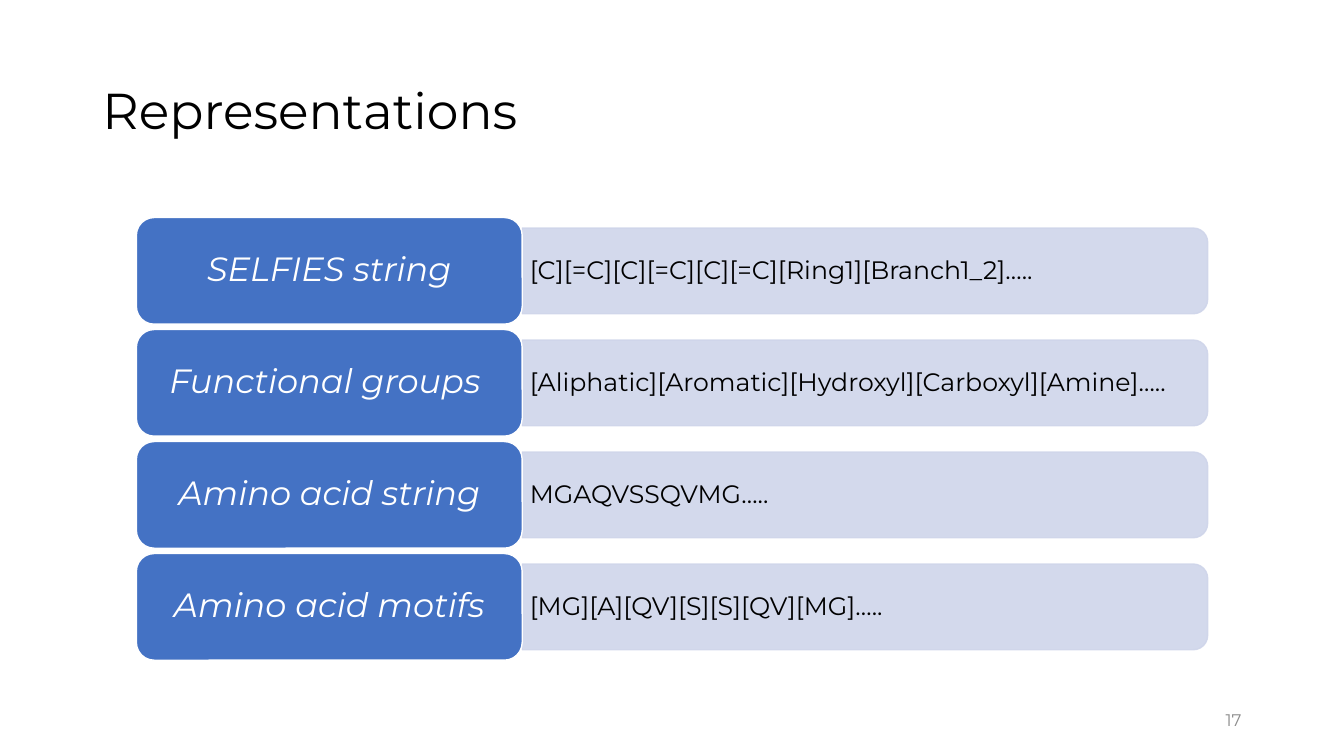
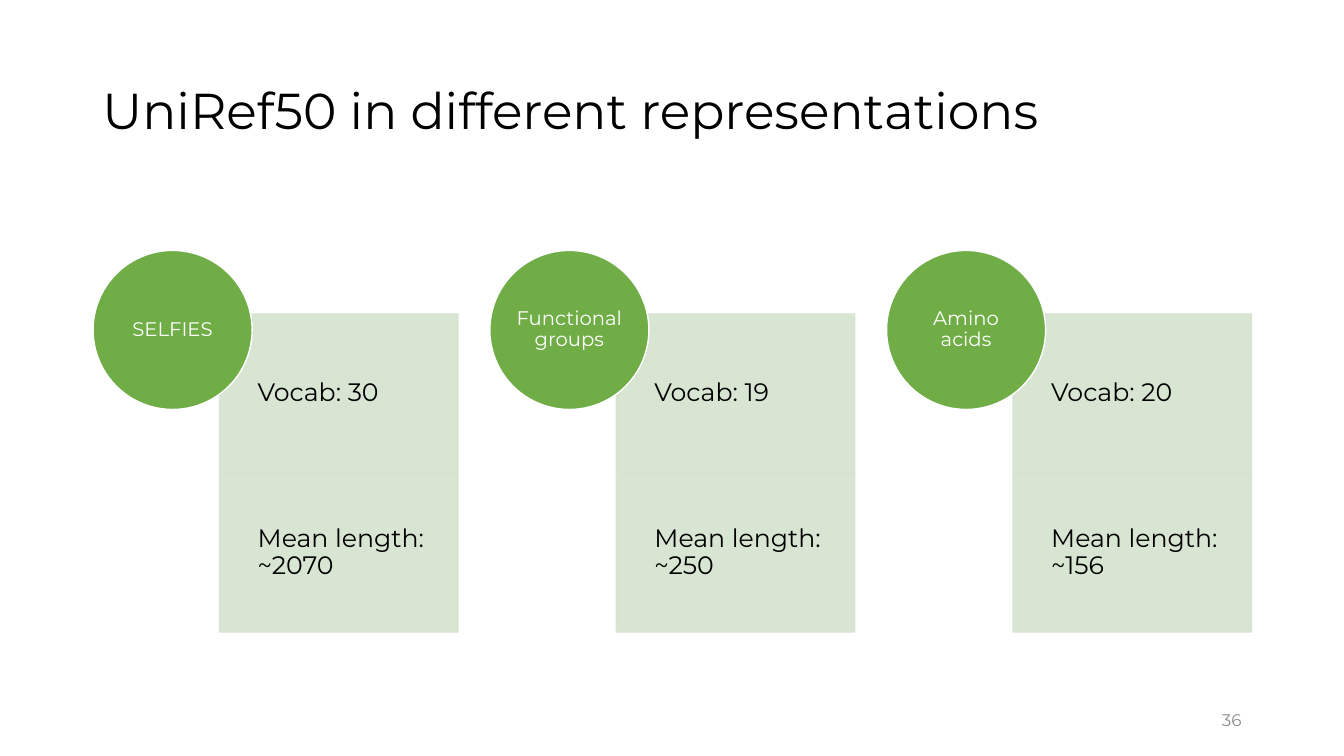
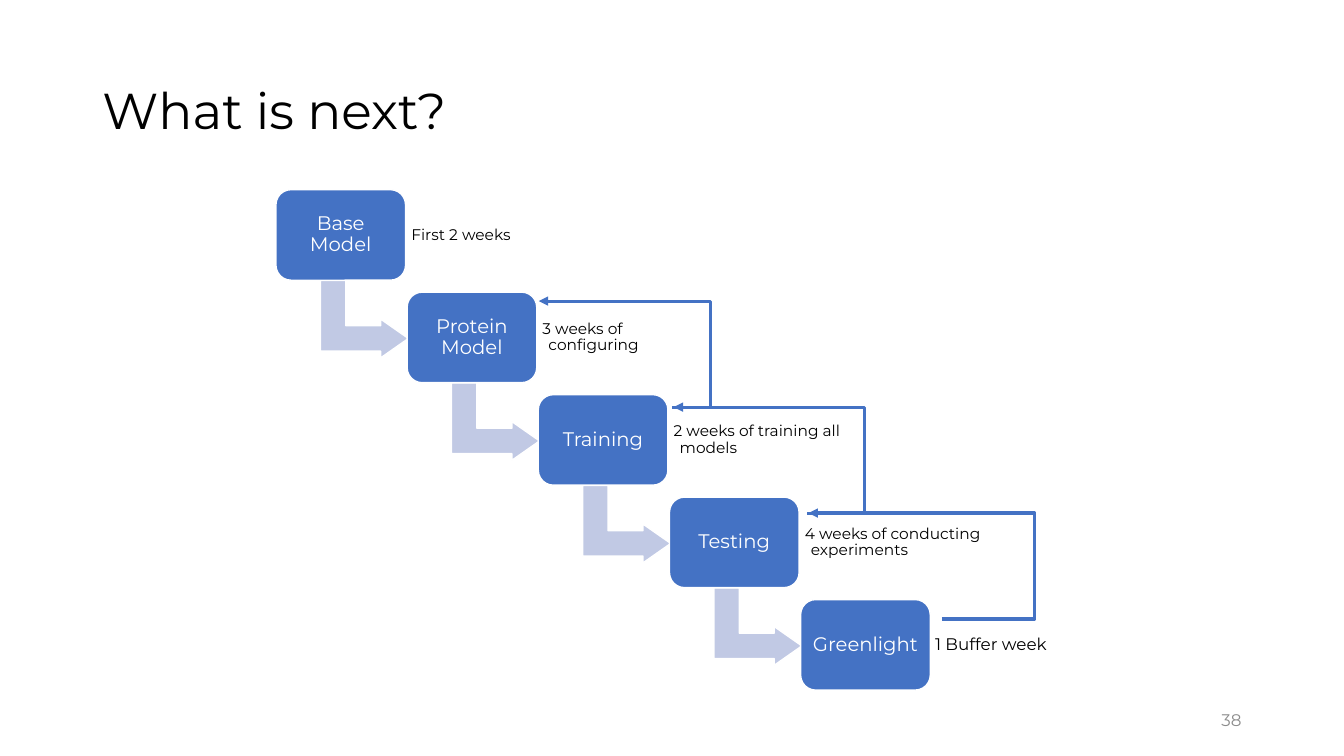
from pptx import Presentation
from pptx import util as u
from pptx.dml.color import RGBColor
from pptx.enum import shapes, text
from pptx.oxml.ns import qn
from lxml import etree

Pt = u.Pt
kind = shapes.MSO_SHAPE
align = text.PP_ALIGN
hue = RGBColor.from_string
FONT = "Montserrat"
BLUE, GREEN, WHITE, BLACK, GREY = "4472C4", "70AD47", "FFFFFF", "000000", "8C8C8C"
PALE, MINT, LILAC = "CFD5EA", "D5E3CF", "C1C9E4"


def write(frame, words, size, color=BLACK, side=align.LEFT, pads=(4.3,) * 4, hang=0, slant=False):
    """Fill a text frame; pads run left, top, right, bottom."""
    frame.word_wrap = True
    frame.vertical_anchor = text.MSO_ANCHOR.MIDDLE
    frame.margin_left, frame.margin_top, frame.margin_right, frame.margin_bottom = map(Pt, pads)
    para = frame.paragraphs[0]
    para.alignment = side
    para.line_spacing = 0.9
    if hang:
        props = para._p.get_or_add_pPr()
        props.set("marL", str(Pt(hang)))
        props.set("indent", str(-Pt(hang)))
    run = para.add_run()
    run.text = words
    run.font.name, run.font.size = FONT, Pt(size)
    run.font.italic = slant
    run.font.color.rgb = hue(color)


def draw(slide, form, box, fill, clear=False):
    """Add a filled shape; a clear one has a matching outline at 90 % opacity."""
    shape = slide.shapes.add_shape(form, *map(Pt, box))
    shape.shadow.inherit = False
    shape.fill.solid()
    shape.fill.fore_color.rgb = hue(fill)
    shape.line.color.rgb = hue(fill if clear else WHITE)
    shape.line.width = Pt(1)
    if clear:
        for tone in shape._element.spPr.iter(qn("a:srgbClr")):
            etree.SubElement(tone, qn("a:alpha")).set("val", "90000")
    return shape


# Deck and shared title place
deck = Presentation()
deck.slide_width, deck.slide_height = Pt(960), Pt(540)
plan = deck.slide_layouts[5]
head = plan.placeholders[0]
head.left, head.top, head.width, head.height = map(Pt, (66, 28.75, 828, 104.38))

# Slides with title and page number
pages = []
for name, num in [("Representations", "17"),
                  ("UniRef50 in different representations", "36"),
                  ("What is next?", "38")]:
    page = deck.slides.add_slide(plan)
    write(page.shapes.title.text_frame, name, 36, pads=(7.2, 3.6, 7.2, 3.6))
    foot = page.shapes.add_textbox(*map(Pt, (678, 500.5, 216, 28.75)))
    write(foot.text_frame, num, 12, GREY, align.RIGHT, (7.2, 3.6, 7.2, 3.6))
    pages.append(page)
first, second, third = pages

# Representations: label boxes with example bars
left, wide, tall, step = 97.4, 275.6, 76.2, 80
bar_w, bar_h = 489.6, 61.2
for i, (label, sample) in enumerate([
        ("SELFIES string", "[C][=C][C][=C][C][=C][Ring1][Branch1_2]….."),
        ("Functional groups ", "[Aliphatic][Aromatic][Hydroxyl][Carboxyl][Amine]….."),
        ("Amino acid string", "MGAQVSSQVMG….."),
        ("Amino acid motifs", "[MG][A][QV][S][S][QV][MG]…..")]):
    top = 155.4 + i * step
    edge, mid = left + wide, top + tall / 2
    # A quarter turn puts the rounded end on the right
    bar = draw(first, kind.ROUND_2_SAME_RECTANGLE,
               (edge + (bar_w - bar_h) / 2, mid - bar_w / 2, bar_h, bar_w), PALE, True)
    bar.rotation = 90
    note = first.shapes.add_textbox(*map(Pt, (edge, mid - 27.4, 486.7, 54.8)))
    write(note.text_frame, sample, 18, pads=(5.4, 2.7, 5.4, 2.7), hang=13.5)
    box = draw(first, kind.ROUNDED_RECTANGLE, (left, top, wide, tall), BLUE)
    write(box.text_frame, label, 24, WHITE, align.CENTER, (7.2, 3.6, 7.2, 3.6), slant=True)

# UniRef50: circles over pairs of facts
size = 113.6
for i, (label, vocab, mean) in enumerate([
        ("SELFIES", "30", "2070"), ("Functional groups", "19", "250"), ("Amino acids", "20", "156")]):
    left = 66.5 + i * 283.4
    for j, fact in enumerate(["Vocab: " + vocab, "Mean length: ~" + mean]):
        cell = draw(second, kind.RECTANGLE, (left + 90.4, 224.3 + j * size, 170.2, size), MINT, True)
        write(cell.text_frame, fact, 18, pads=(27.2, 10, 10, 10))
    disc = draw(second, kind.OVAL, (left, 178.9, size, size), GREEN)
    write(disc.text_frame, label, 14, WHITE, align.CENTER, (0,) * 4)

# What is next: staircase of steps
stages = [("Base Model", "First 2 weeks", 137), ("Protein Model", "3 weeks of configuring", 128),
          ("Training", "2 weeks of training all models", 136),
          ("Testing", "4 weeks of conducting experiments", 190), ("Greenlight", "1 Buffer week", 101.5)]
for i, (label, span, wide) in enumerate(stages):
    left, top = 197.1 + i * 93.7, 135.5 + i * 73.2
    last = i == len(stages) - 1
    if not last:
        bend = draw(third, kind.BENT_UP_ARROW, (left + 35.5, top + 61, 55.3, 62.9), LILAC)
        bend.rotation = 90
        for k, val in enumerate((0.328, 0.25, 0.358)):
            bend.adjustments[k] = val
    box = draw(third, kind.ROUNDED_RECTANGLE, (left, top, 92.6, 64.7), BLUE)
    write(box.text_frame, label, 14, WHITE, align.CENTER)
    note = third.shapes.add_textbox(*map(Pt, (left + 92.4, top + 6.2, wide, 52.4)))
    write(note.text_frame, span, 12 if last else 11, pads=(3.6 if last else 4.3,) * 4,
          hang=8.6 if last else 4.3)

# Feedback arrows, each bulging past its right end
for i, bulge in enumerate((-28900, -43100, -69600)):
    x, y = 480.2 + i * 96.3, 290.8 + i * 75.7
    link = third.shapes.add_connector(shapes.MSO_CONNECTOR.ELBOW, *map(Pt, (x, y, x - 95.3, y - 75.7)))
    link.line.color.rgb = hue(BLUE)
    link.line.width = Pt(2.25)
    props = link._element.spPr
    guide = etree.SubElement(props.find(".//" + qn("a:avLst")), qn("a:gd"))
    guide.set("name", "adj1")
    guide.set("fmla", f"val {bulge}")
    etree.SubElement(props.find(qn("a:ln")), qn("a:tailEnd")).set("type", "triangle")
    etree.SubElement(props, qn("a:effectLst"))

deck.save("out.pptx")
